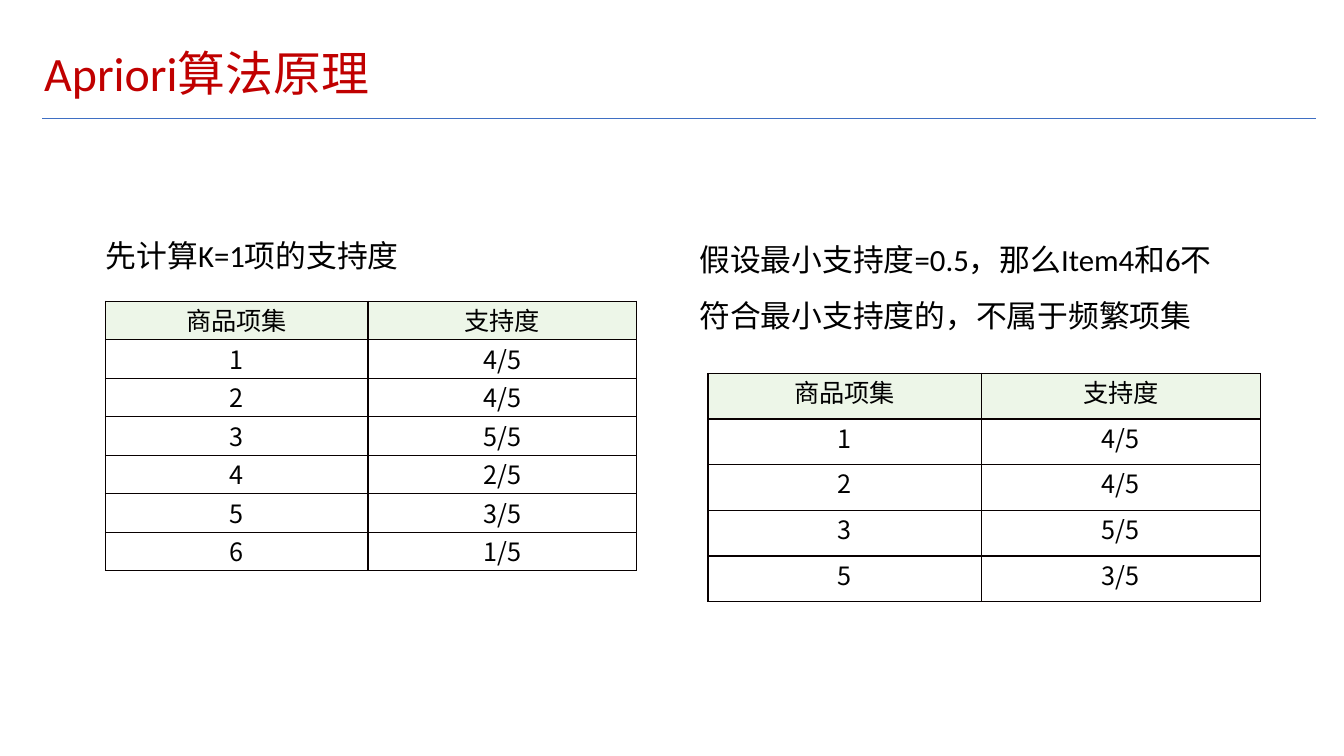
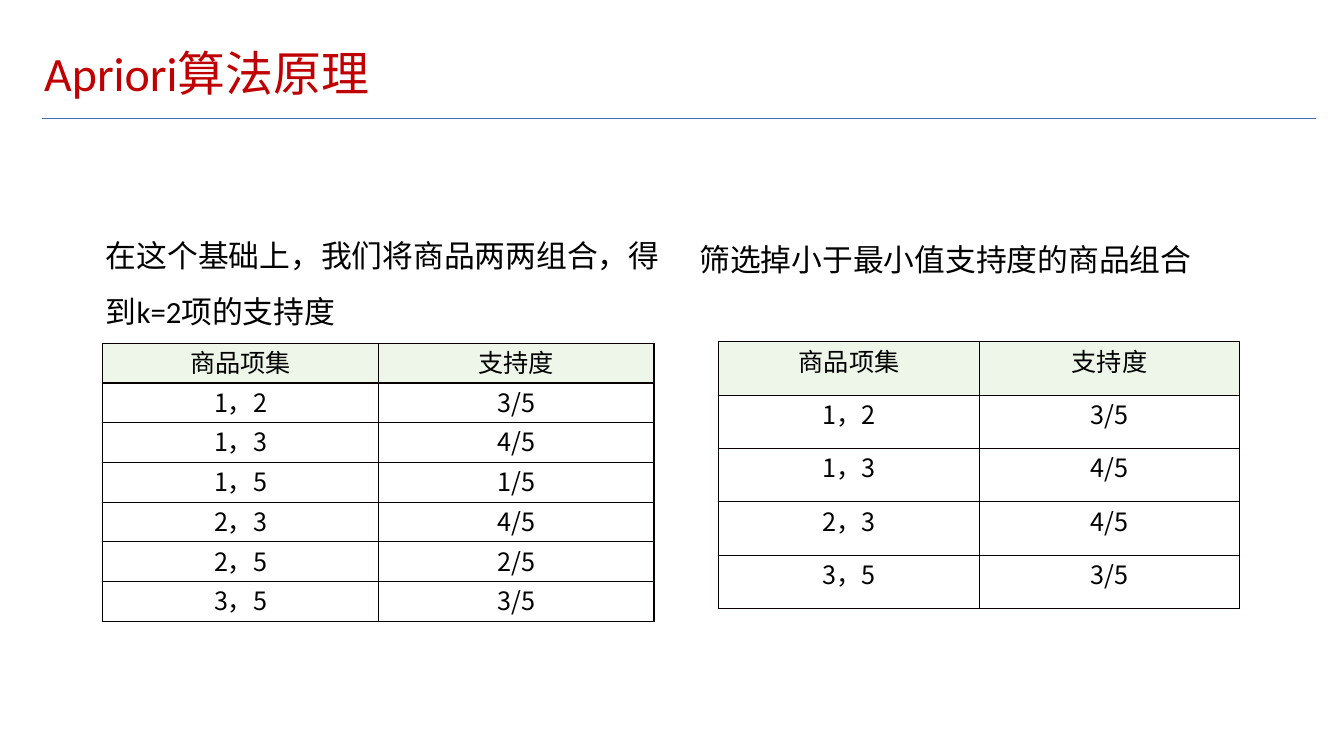
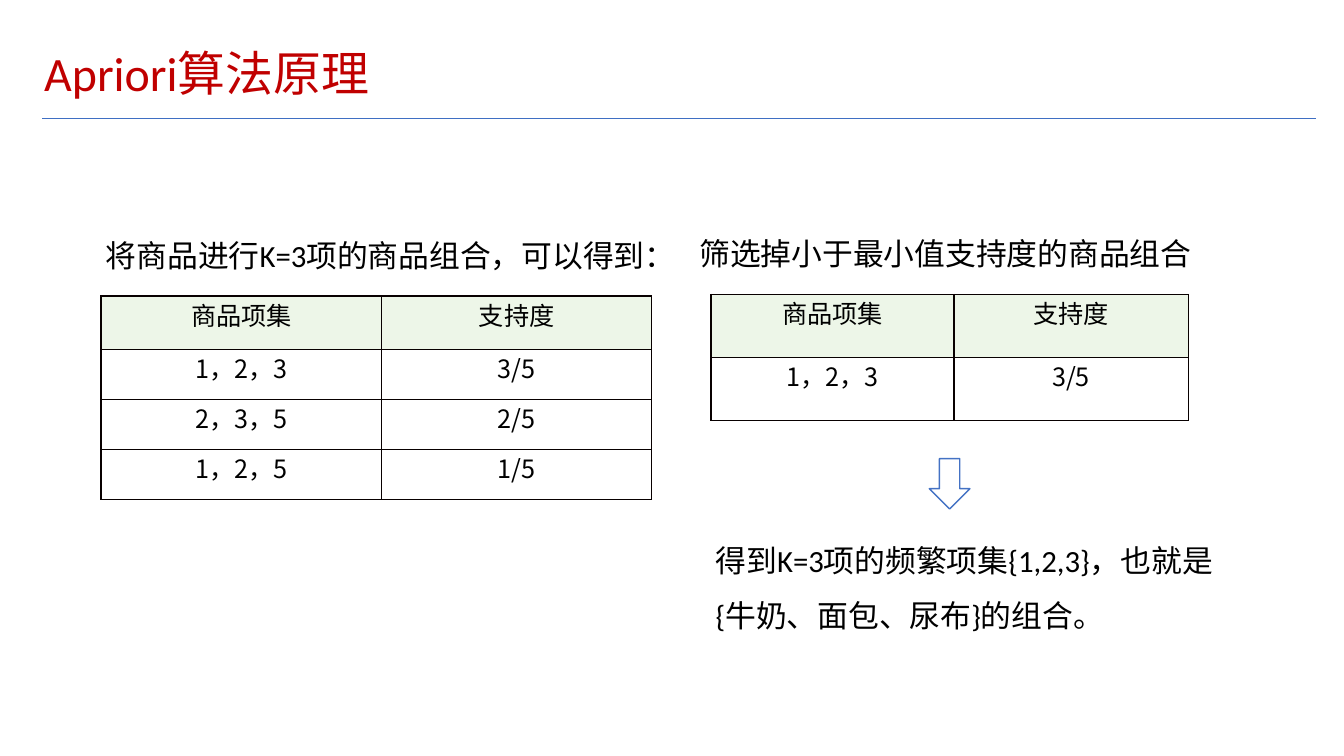
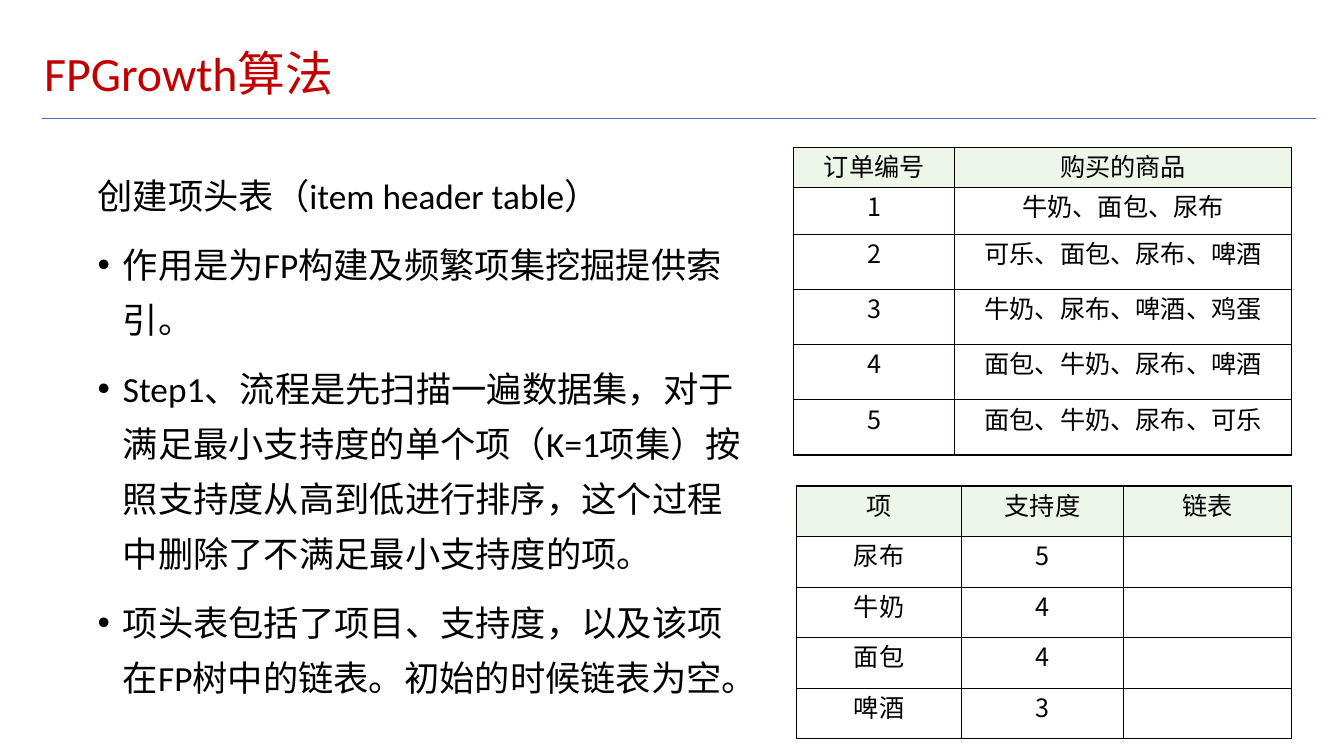
from lxml.etree import SubElement as sub
from pptx import Presentation
from pptx.dml.color import RGBColor
from pptx.enum.lang import MSO_LANGUAGE_ID as LANG
from pptx.enum.shapes import MSO_CONNECTOR as LINE, MSO_SHAPE as SHAPE
from pptx.enum.text import MSO_ANCHOR as ANCHOR, PP_ALIGN as ALIGN
from pptx.oxml.ns import qn
from pptx.util import Pt

RED, BLACK, WHITE = "C00000", "000000", "FFFFFF"
RULE, EDGE, GREEN, BLUE = "3F6FC3", "080000", "EDF6E8", "4472C4"
LATIN, HAN = "Calibri", "Noto Sans CJK SC"
rgb = RGBColor.from_string


def style(par, size, face=LATIN, color=BLACK):
    """Format all runs of a paragraph, with one font for Chinese text."""
    for run in par.runs:
        font = run.font
        font.size, font.name, font.bold = Pt(size), face, False
        font.color.rgb = rgb(color)
        font.language_id = LANG.SIMPLIFIED_CHINESE
        sub(run._r.get_or_add_rPr(), qn("a:ea"), typeface=HAN)


def write(slide, box, lines, size, space, before=0, color=BLACK):
    """Add a text box; every line after the first is a bullet."""
    frame = slide.shapes.add_textbox(*map(Pt, box)).text_frame
    frame.word_wrap = True
    frame.margin_left = frame.margin_right = Pt(3.6)
    frame.margin_top = frame.margin_bottom = Pt(3.6)
    frame.text = "\n".join(lines)
    for i, par in enumerate(frame.paragraphs):
        par.line_spacing, par.space_before = space, Pt(before)
        style(par, size, color=color)
        if i:
            props = par._p.get_or_add_pPr()
            props.set("marL", str(Pt(18)))
            props.set("indent", str(Pt(-18)))
            sub(props, qn("a:buFont"), typeface="Arial")
            sub(props, qn("a:buChar"), char="•")
    return frame


HEAD = ["商品项集", "支持度"]
LEFT = (72, 152.6, 419, 276.5)
RIGHT = (496, 155.5, 389, 276.5)

# Notes: box, lines, size, line spacing
# Tables: left, top, column widths, row heights, rows
pages = [
    ("Apriori算法原理", [
        (LEFT, ["先计算K=1项的支持度"], 22, 1.5),
        (RIGHT, ["假设最小支持度=0.5，那么Item4和6不符合最小支持度的，不属于频繁项集"], 22, 1.5),
    ], [
        (75.4, 215.2, [187.4, 191.8], [27.5] * 7,
         [HEAD, ["1", "4/5"], ["2", "4/5"], ["3", "5/5"],
          ["4", "2/5"], ["5", "3/5"], ["6", "1/5"]]),
        (505.7, 266.7, [195.2, 199.4], [32.6] * 5,
         [HEAD, ["1", "4/5"], ["2", "4/5"], ["3", "5/5"], ["5", "3/5"]]),
    ]),
    ("Apriori算法原理", [
        (LEFT, ["在这个基础上，我们将商品两两组合，得到k=2项的支持度"], 22, 1.5),
        (RIGHT, ["筛选掉小于最小值支持度的商品组合"], 22, 1.5),
    ], [
        (73.3, 245.2, [197.1, 196.8], [28.4] * 7,
         [HEAD, ["1，2", "3/5"], ["1，3", "4/5"], ["1，5", "1/5"],
          ["2，3", "4/5"], ["2，5", "2/5"], ["3，5", "3/5"]]),
        (513.3, 244.2, [186.3, 185.9], [38.1] * 5,
         [HEAD, ["1，2", "3/5"], ["1，3", "4/5"], ["2，3", "4/5"], ["3，5", "3/5"]]),
    ]),
    ("Apriori算法原理", [
        (LEFT, ["将商品进行K=3项的商品组合，可以得到："], 22, 1.5),
        ((496, 151.2, 389, 276.5), ["筛选掉小于最小值支持度的商品组合"], 22, 1.5),
        ((507.6, 370.1, 386.6, 94.3),
         ["得到K=3项的频繁项集{1,2,3}，也就是{牛奶、面包、尿布}的组合。"], 22, 1.5),
    ], [
        (72.2, 211.5, [200.6, 192.7], [38.2] + [35.8] * 3,
         [HEAD, ["1，2，3", "3/5"], ["2，3，5", "2/5"], ["1，2，5", "1/5"]]),
        (507.8, 210.3, [173.7, 167.2], [45] * 2,
         [HEAD, ["1，2，3", "3/5"]]),
    ]),
    ("FPGrowth算法", [
        ((66.2, 111.6, 470.9, 393.8), [
            "创建项头表（item header table）",
            "作用是为FP构建及频繁项集挖掘提供索引。",
            "Step1、流程是先扫描一遍数据集，对于满足最小支持度的单个项（K=1项集）"
            "按照支持度从高到低进行排序，这个过程中删除了不满足最小支持度的项。",
            "项头表包括了项目、支持度，以及该项在FP树中的链表。初始的时候链表为空。",
        ], 25.2, 1.3),
    ], [
        (569, 347.2, [117.8, 115.8, 119.8], [36.1] * 5,
         [["项", "支持度", "链表"], ["尿布", "5", ""], ["牛奶", "4", ""],
          ["面包", "4", ""], ["啤酒", "3", ""]]),
        (566.8, 105.4, [115.3, 240.4], [28.5, 33.6] + [39.4] * 4,
         [["订单编号", "购买的商品"], ["1", "牛奶、面包、尿布"],
          ["2", "可乐、面包、尿布、啤酒"], ["3", "牛奶、尿布、啤酒、鸡蛋"],
          ["4", "面包、牛奶、尿布、啤酒"], ["5", "面包、牛奶、尿布、可乐"]]),
    ]),
]

deck = Presentation()
deck.slide_width, deck.slide_height = Pt(960), Pt(540)

for title, notes, tables in pages:
    slide = deck.slides.add_slide(deck.slide_layouts[6])
    rule = slide.shapes.add_connector(LINE.STRAIGHT, Pt(30.2), Pt(84.5), Pt(940.2), Pt(84.5))
    rule.line.color.rgb, rule.line.width = rgb(RULE), Pt(0.75)
    sub(rule._element.spPr, qn("a:effectLst"))
    frame = write(slide, (28, 28.8, 801.4, 51.1), [title], 34.2, 0.9, color=RED)
    frame.vertical_anchor = ANCHOR.MIDDLE

    for box, lines, size, space in notes:
        write(slide, box, lines, size, space, before=10)

    for left, top, cols, heights, rows in tables:
        table = slide.shapes.add_table(
            len(rows), len(cols), Pt(left), Pt(top), Pt(sum(cols)), Pt(sum(heights))).table
        table.first_row = table.horz_banding = False
        for col, width in zip(table.columns, cols):
            col.width = Pt(width)
        for r, row in enumerate(rows):
            table.rows[r].height = Pt(heights[r])
            for c, word in enumerate(row):
                cell = table.cell(r, c)
                cell.margin_left = cell.margin_right = Pt(0.72)
                cell.margin_top = cell.margin_bottom = 0
                cell.text_frame.text = word
                par = cell.text_frame.paragraphs[0]
                par.alignment = ALIGN.CENTER
                style(par, 18, HAN)
                props = cell._tc.get_or_add_tcPr()
                for side in ("lnL", "lnR", "lnT", "lnB"):
                    edge = sub(props, qn("a:" + side), w=str(Pt(1)))
                    sub(sub(edge, qn("a:solidFill")), qn("a:srgbClr"), val=EDGE)
                if r == 0:
                    cell.fill.solid()
                    cell.fill.fore_color.rgb = rgb(GREEN)
                else:
                    cell.fill.background()

arrow = deck.slides[2].shapes.add_shape(SHAPE.DOWN_ARROW, Pt(663.8), Pt(327.6), Pt(29), Pt(36))
arrow.shadow.inherit = False
arrow.fill.solid()
arrow.fill.fore_color.rgb = rgb(WHITE)
arrow.line.color.rgb, arrow.line.width = rgb(BLUE), Pt(1)

deck.save("out.pptx")
